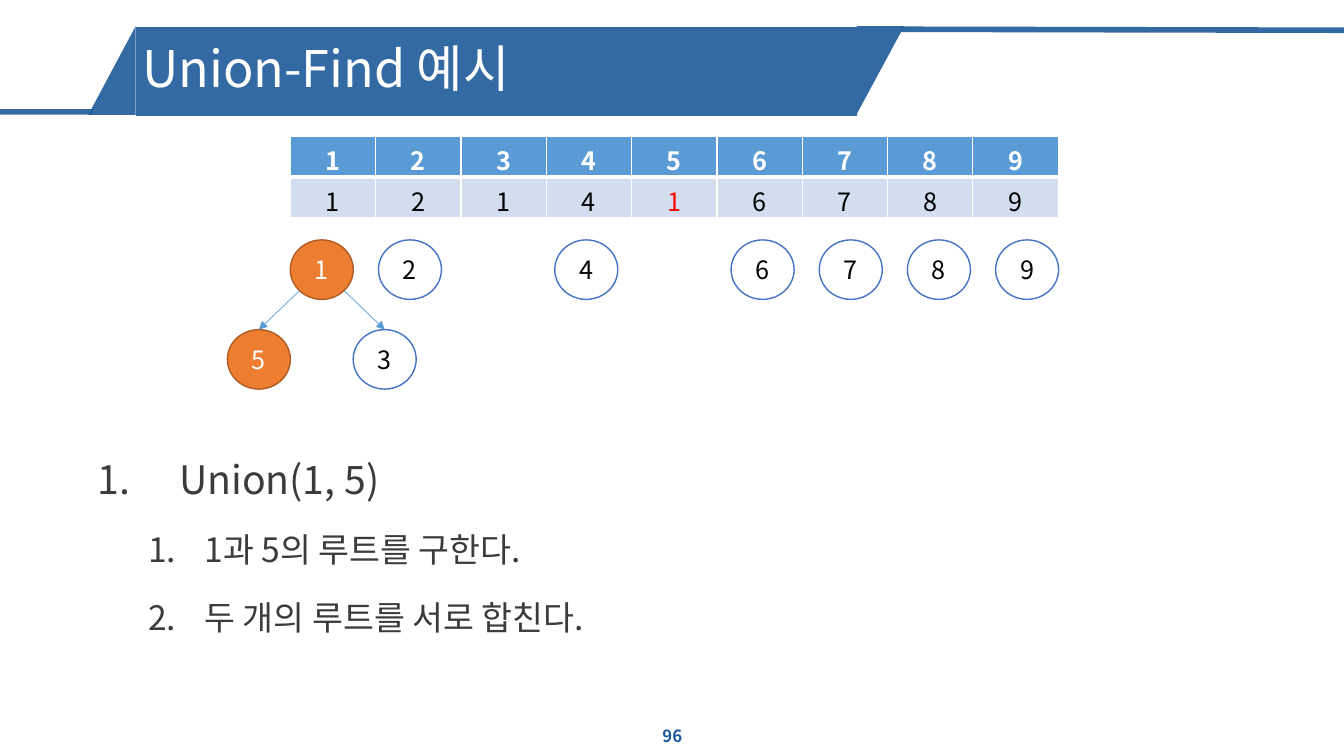
from math import sqrt

from lxml.etree import SubElement
from pptx import Presentation
from pptx.dml.color import RGBColor
from pptx.enum.shapes import MSO_CONNECTOR, MSO_SHAPE as SHAPE
from pptx.enum.text import MSO_ANCHOR as ANCHOR, MSO_AUTO_SIZE, PP_ALIGN as ALIGN
from pptx.oxml.ns import qn
from pptx.util import Inches, Pt

NAVY = RGBColor(0x1E, 0x5A, 0x9B)
BLUE = RGBColor(0x5B, 0x9B, 0xD5)
PALE = RGBColor(0xD2, 0xDE, 0xEF)
OUTLINE = RGBColor(0x44, 0x72, 0xC4)
ORANGE = RGBColor(0xED, 0x7D, 0x31)
BROWN = RGBColor(0xAF, 0x5C, 0x24)
RED = RGBColor(0xFF, 0x00, 0x00)
GREY = RGBColor(0x3B, 0x3B, 0x3B)
BLACK = RGBColor(0x00, 0x00, 0x00)
WHITE = RGBColor(0xFF, 0xFF, 0xFF)

NODE_W, NODE_H = 4.69, 7.87


class Deck:
    """Style and current slide; lengths are percentages of the slide's size."""

    font = "Noto Sans CJK KR"

    def __init__(self, prs):
        self.prs = prs
        self.s = prs.slides.add_slide(prs.slide_layouts[5])

    def x(self, share):
        return round(self.prs.slide_width * share / 100)

    def y(self, share):
        return round(self.prs.slide_height * share / 100)

    def box(self, x, y, w, h):
        return self.x(x), self.y(y), self.x(w), self.y(h)

    def fade(self, sp, alpha):
        for clr in sp._element.spPr.iter(qn("a:srgbClr")):
            SubElement(clr, qn("a:alpha"), val=str(alpha * 1000))

    def style(self, p, size, color, bold=False, align=ALIGN.CENTER):
        p.alignment = align
        for r in p.runs:
            r.font.size, r.font.bold, r.font.name = Pt(size), bold, self.font
            r.font.color.rgb = color
            SubElement(r._r.rPr, qn("a:ea"), typeface=self.font)

    def shape(self, kind, box, fill, line=None, rotation=0):
        sp = self.s.shapes.add_shape(kind, *self.box(*box))
        sp.shadow.inherit = False
        sp.rotation = rotation
        sp.fill.solid()
        sp.fill.fore_color.rgb = fill
        if line is None:
            sp.line.fill.background()
        else:
            sp.line.color.rgb = line
            sp.line.width = Pt(1)
        return sp

    def line(self, x1, y1, x2, y2, color, width, arrow=False):
        c = self.s.shapes.add_connector(MSO_CONNECTOR.STRAIGHT, self.x(x1),
                                        self.y(y1), self.x(x2), self.y(y2))
        c.line.color.rgb = color
        c.line.width = Pt(width)
        if arrow:
            SubElement(c.line._get_or_add_ln(), qn("a:tailEnd"), type="triangle")
        SubElement(c._element.spPr, qn("a:effectLst"))
        return c

    def title(self, text, box):
        sp = self.s.shapes.title
        sp.left, sp.top, sp.width, sp.height = self.box(*box)
        self.s.shapes._spTree.append(sp._element)  # in front of the banner
        tf = sp.text_frame
        tf.text = text
        tf.auto_size = MSO_AUTO_SIZE.NONE
        tf.vertical_anchor = ANCHOR.MIDDLE
        tf.paragraphs[0].line_spacing = 0.9
        self.style(tf.paragraphs[0], 36, WHITE, align=ALIGN.LEFT)

    def text(self, text, box):
        tf = self.s.shapes.add_textbox(*self.box(*box)).text_frame
        tf.word_wrap = True
        tf.text = text
        return tf

    def numbered(self, items, box):
        tf = self.text("\n".join(text for _, text in items), box)
        for i, (p, (level, _)) in enumerate(zip(tf.paragraphs, items)):
            margin, hang, size = ((0.81, 0.81, 28), (1.06, 0.56, 24))[level]
            p.level = level
            pPr = p._p.get_or_add_pPr()
            pPr.set("marL", str(Inches(margin)))
            pPr.set("indent", str(-Inches(hang)))
            SubElement(pPr, qn("a:buAutoNum"), type="arabicPeriod")
            p.line_spacing = 1.5
            p.space_before = Pt(5 if i else 0)
            self.style(p, size, GREY, align=ALIGN.LEFT)

    def node(self, label, x, y, active=False):
        colors = (ORANGE, BROWN) if active else (WHITE, OUTLINE)
        sp = self.shape(SHAPE.OVAL, (x, y, NODE_W, NODE_H), *colors)
        tf = sp.text_frame
        tf.text = str(label)
        tf.vertical_anchor = ANCHOR.MIDDLE
        self.style(tf.paragraphs[0], 18, WHITE if active else BLACK)

    def cell(self, cell, value, fill, color, bold, bottom):
        cell.text = str(value)
        self.style(cell.text_frame.paragraphs[0], 18, color, bold)
        tcPr = cell._tc.get_or_add_tcPr()
        for side, width in (("L", 1), ("R", 1), ("T", 1), ("B", bottom)):
            ln = SubElement(tcPr, qn("a:ln" + side), w=str(Pt(width)))
            SubElement(SubElement(ln, qn("a:solidFill")), qn("a:srgbClr"),
                       val=str(WHITE))
        cell.fill.solid()
        cell.fill.fore_color.rgb = fill

    def table(self, header, parents, changed, box):
        t = self.s.shapes.add_table(2, len(header), *self.box(*box)).table
        for col, (item, parent) in enumerate(zip(header, parents)):
            self.cell(t.cell(0, col), item, BLUE, WHITE, True, 3)
            color = RED if item == changed else BLACK
            self.cell(t.cell(1, col), parent, PALE, color, False, 1)


def main():
    prs = Presentation()
    prs.slide_width, prs.slide_height = Inches(13.333), Inches(7.5)
    d = Deck(prs)

    # Title banner
    banner = [
        d.shape(SHAPE.RIGHT_TRIANGLE, (62.25, 6.13, 6.53, 6.27), NAVY, rotation=90),
        d.line(6.9, 14.8, 0, 14.8, NAVY, 4),
        d.shape(SHAPE.RIGHT_TRIANGLE, (5.03, 6.2, 6.6, 6.27), NAVY, rotation=270),
        d.line(100, 4, 67.05, 3.87, NAVY, 4),
        d.shape(SHAPE.RECTANGLE, (10.13, 3.6, 53.63, 11.73), NAVY),
    ]
    for part in banner:
        d.fade(part, 90)
    d.title("Union-Find 예시", (9.83, 4, 53.63, 10.8))

    # Page number
    tf = d.text("96", (38.78, 94.67, 22.5, 5.33))
    tf.vertical_anchor = ANCHOR.MIDDLE
    d.style(tf.paragraphs[0], 12, NAVY, bold=True)

    # Steps
    d.numbered([(0, "Union(1, 5)"),
                (1, "1과 5의 루트를 구한다."),
                (1, "두 개의 루트를 서로 합친다.")], (6.53, 56.4, 86.1, 37.87))

    # Parent table
    left, pitch = 21.6, 6.56
    d.table(range(1, 10), [1, 2, 1, 4, 1, 6, 7, 8, 9], 5, (left, 18, 57.15, 10.8))

    # Forest: roots in the upper row, children of 1 below
    root_y, child_y = 31.73, 43.6
    for label in (1, 2, 4, 6, 7, 8, 9):
        d.node(label, left + (label - 1) * pitch, root_y, active=label == 1)
    center = left + NODE_W / 2
    for label, side in ((3, 1), (5, -1)):
        offset = side * 4.68
        d.node(label, left + offset, child_y, active=label == 5)
        d.line(center + side * NODE_W / 2 / sqrt(2),
               root_y + NODE_H / 2 * (1 + 1 / sqrt(2)),
               center + offset, child_y, BLUE, 0.5, arrow=True)

    prs.save("out.pptx")


if __name__ == "__main__":
    main()
